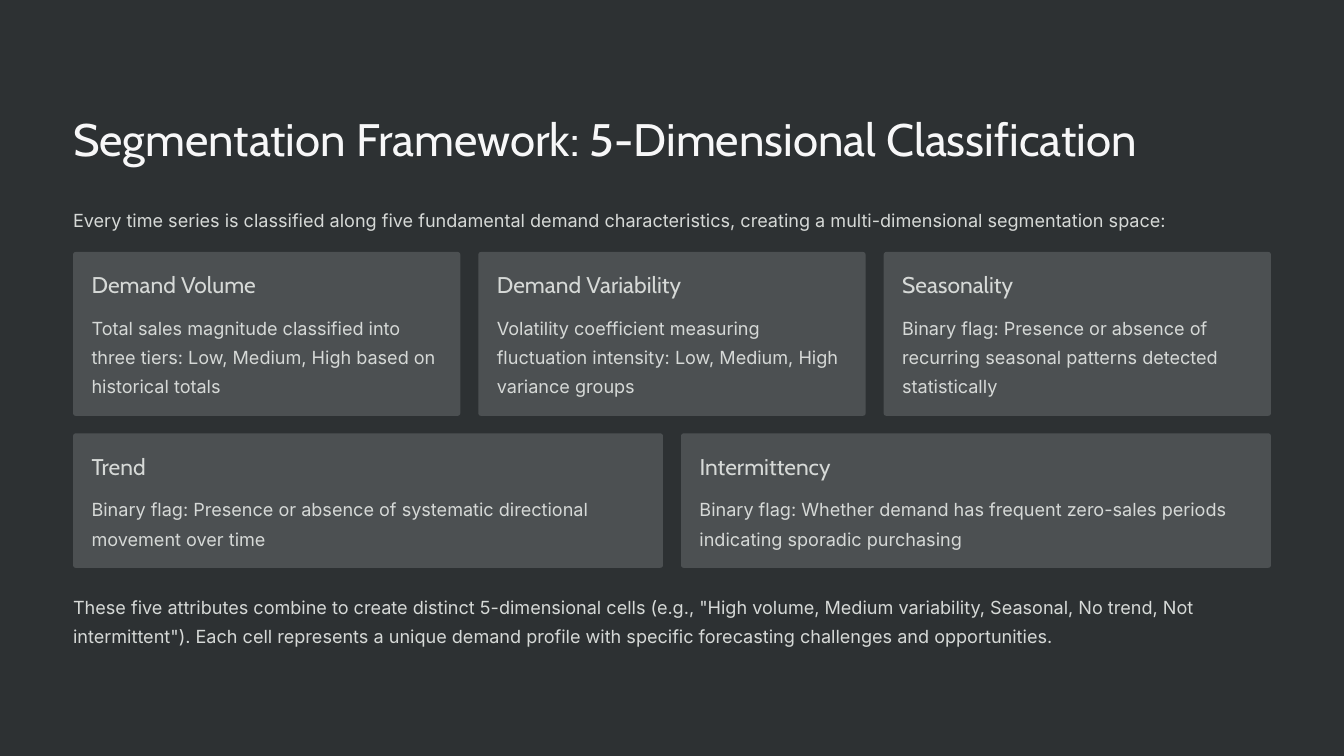
from dataclasses import dataclass

from pptx import Presentation
from pptx.dml.color import RGBColor
from pptx.enum.shapes import MSO_SHAPE
from pptx.enum.text import MSO_ANCHOR, MSO_AUTO_SIZE, PP_ALIGN
from pptx.util import Inches, Pt

ROUNDED = MSO_SHAPE.ROUNDED_RECTANGLE
TOP = MSO_ANCHOR.TOP
NO_AUTOFIT = MSO_AUTO_SIZE.NONE
LEFT = PP_ALIGN.LEFT
TITLE_ONLY = 5

TITLE = "Segmentation Framework: 5-Dimensional Classification"
INTRO = (
    "Every time series is classified along five fundamental demand characteristics, "
    "creating a multi-dimensional segmentation space:"
)
CLOSING = (
    'These five attributes combine to create distinct 5-dimensional cells (e.g., "High volume, '
    'Medium variability, Seasonal, No trend, Not intermittent"). Each cell represents a unique '
    "demand profile with specific forecasting challenges and opportunities."
)
CARD_ROWS = [
    {
        "top": 3,
        "height": 1.95,
        "cards": [
            ("Demand Volume", "Total sales magnitude classified into three tiers: "
             "Low, Medium, High based on historical totals"),
            ("Demand Variability", "Volatility coefficient measuring fluctuation intensity: "
             "Low, Medium, High variance groups"),
            ("Seasonality", "Binary flag: Presence or absence of recurring seasonal patterns "
             "detected statistically"),
        ],
    },
    {
        "top": 5.16,
        "height": 1.6,
        "cards": [
            ("Trend", "Binary flag: Presence or absence of systematic directional movement "
             "over time"),
            ("Intermittency", "Binary flag: Whether demand has frequent zero-sales periods "
             "indicating sporadic purchasing"),
        ],
    },
]


@dataclass(frozen=True)
class TextStyle:
    font: str
    size: float
    line: float
    color: str
    wrap: bool


@dataclass(frozen=True)
class Theme:
    background: str = "2D3133"
    card: str = "4C5052"
    title: TextStyle = TextStyle("Cabin", 39, 48.5, "F7F7F8", False)
    heading: TextStyle = TextStyle("Cabin", 19.5, 24, "D6D9D7", False)
    lead: TextStyle = TextStyle("Inter", 15.5, 25, "D6D9D7", False)
    body: TextStyle = TextStyle("Inter", 15.5, 25, "D6D9D7", True)


THEME = Theme()
MARGIN = 0.87
CONTENT_WIDTH = 14.26
GAP = 0.215
PADDING = 0.22
BODY_OFFSET = 0.69
CORNER_RADIUS = 0.03


def set_attributes(target, values):
    for name, value in values.items():
        setattr(target, name, value)


def write_text(shape, text, style):
    frame = shape.text_frame
    set_attributes(frame, {
        "margin_left": 0, "margin_top": 0, "margin_right": 0, "margin_bottom": 0,
        "auto_size": NO_AUTOFIT, "word_wrap": style.wrap, "vertical_anchor": TOP,
    })
    paragraph = frame.paragraphs[0]
    set_attributes(paragraph, {"alignment": LEFT, "line_spacing": Pt(style.line)})
    run = paragraph.add_run()
    run.text = text
    set_attributes(run.font, {"name": style.font, "size": Pt(style.size)})
    run.font.color.rgb = RGBColor.from_string(style.color)


def add_text(slide, box, text, style):
    shape = slide.shapes.add_textbox(*map(Inches, box))
    write_text(shape, text, style)


def add_card(slide, left, top, width, height, heading, body):
    shape = slide.shapes.add_shape(ROUNDED, *map(Inches, (left, top, width, height)))
    shape.adjustments[0] = CORNER_RADIUS / height
    shape.shadow.inherit = False
    shape.fill.solid()
    shape.fill.fore_color.rgb = RGBColor.from_string(THEME.card)
    shape.line.fill.background()
    text_left = left + PADDING
    text_width = width - 2 * PADDING
    body_height = height - BODY_OFFSET - PADDING
    add_text(slide, (text_left, top + PADDING, 2.71, 0.34), heading, THEME.heading)
    add_text(slide, (text_left, top + BODY_OFFSET, text_width, body_height), body, THEME.body)


def add_card_row(slide, row):
    count = len(row["cards"])
    width = (CONTENT_WIDTH - GAP * (count - 1)) / count
    for index, (heading, body) in enumerate(row["cards"]):
        left = MARGIN + index * (width + GAP)
        add_card(slide, left, row["top"], width, row["height"], heading, body)


def main():
    presentation = Presentation()
    set_attributes(presentation, {"slide_width": Inches(16), "slide_height": Inches(9)})
    slide = presentation.slides.add_slide(presentation.slide_layouts[TITLE_ONLY])
    slide.background.fill.solid()
    slide.background.fill.fore_color.rgb = RGBColor.from_string(THEME.background)

    title = slide.shapes.title
    set_attributes(title, {
        "left": Inches(MARGIN), "top": Inches(1.3),
        "width": Inches(14.15), "height": Inches(0.68),
    })
    write_text(title, TITLE, THEME.title)

    add_text(slide, (MARGIN, 2.41, CONTENT_WIDTH, 0.35), INTRO, THEME.lead)
    for row in CARD_ROWS:
        add_card_row(slide, row)
    add_text(slide, (MARGIN, 7.01, CONTENT_WIDTH, 0.69), CLOSING, THEME.body)
    presentation.save("out.pptx")


if __name__ == "__main__":
    main()
